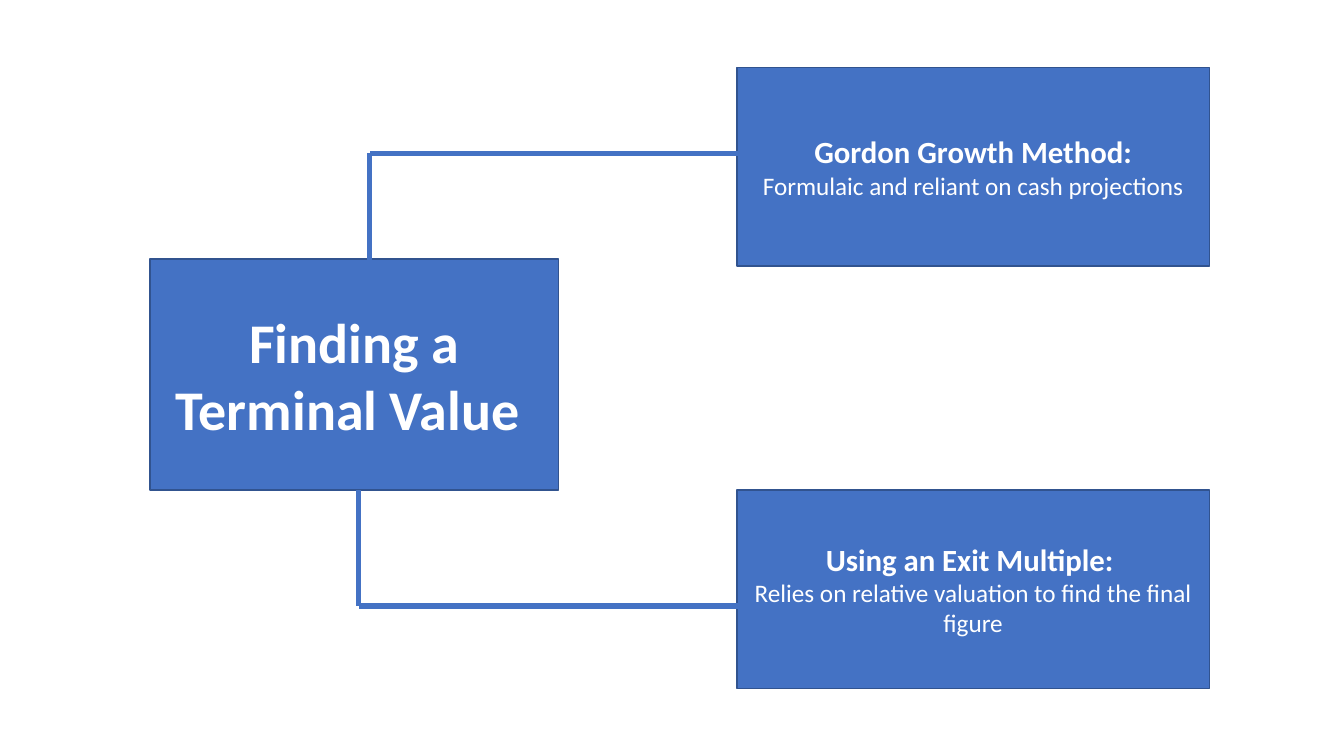
from dataclasses import dataclass

from lxml import etree
from pptx import Presentation
from pptx import util as u
from pptx.dml.color import RGBColor
from pptx.enum import shapes, text
from pptx.oxml import ns
from pptx.slide import Slide

BLUE = RGBColor(0x44, 0x72, 0xC4)
DARK_BLUE = RGBColor(0x31, 0x53, 0x8F)
WHITE = RGBColor(0xFF, 0xFF, 0xFF)
FONT = "Calibri"

METHOD_LEFT, METHOD_WIDTH, METHOD_HEIGHT = 18.57, 11.91, 5.0
TOPIC_TOP, TOPIC_HEIGHT = 6.53, 5.82
TOPIC_BOTTOM = TOPIC_TOP + TOPIC_HEIGHT


@dataclass(frozen=True)
class Line:
    words: str
    size: int
    bold: bool


@dataclass(frozen=True)
class Box:
    left: float
    top: float
    width: float
    height: float
    lines: tuple[Line, ...]


@dataclass(frozen=True)
class Branch:
    stem_x: float
    stem_y: float
    arm_x: float
    arm_y: float


def method_box(top: float, heading: str, detail: str) -> Box:
    lines = (Line(heading, 22, True), Line(detail, 18, False))
    return Box(METHOD_LEFT, top, METHOD_WIDTH, METHOD_HEIGHT, lines)


BOXES = (
    Box(3.78, TOPIC_TOP, 10.29, TOPIC_HEIGHT,
        (Line("Finding a Terminal Value ", 40, True),)),
    method_box(1.7, "Gordon Growth Method:",
               "Formulaic and reliant on cash projections"),
    method_box(TOPIC_BOTTOM, "Using an Exit Multiple: ",
               "Relies on relative valuation to find the final figure"),
)

BRANCHES = (
    Branch(9.32, 6.71, 18.95, 3.86),
    Branch(9.04, TOPIC_BOTTOM, 19.18, 15.27),
)


def draw_box(page: Slide, box: Box) -> None:
    shape = page.shapes.add_shape(
        shapes.MSO_SHAPE.RECTANGLE,
        u.Cm(box.left), u.Cm(box.top), u.Cm(box.width), u.Cm(box.height))
    shape.shadow.inherit = False
    shape.fill.solid()
    shape.fill.fore_color.rgb = BLUE
    shape.line.color.rgb = DARK_BLUE
    shape.line.width = u.Pt(1)
    frame = shape.text_frame
    frame.word_wrap = True
    frame.vertical_anchor = text.MSO_ANCHOR.MIDDLE
    for index, line in enumerate(box.lines):
        para = frame.add_paragraph() if index else frame.paragraphs[0]
        para.alignment = text.PP_ALIGN.CENTER
        span = para.add_run()
        span.text = line.words
        span.font.name = FONT
        span.font.size = u.Pt(line.size)
        span.font.bold = line.bold
        span.font.color.rgb = WHITE


def draw_line(page: Slide, x1: float, y1: float, x2: float, y2: float) -> None:
    connector = page.shapes.add_connector(
        shapes.MSO_CONNECTOR.STRAIGHT,
        u.Cm(x1), u.Cm(y1), u.Cm(x2), u.Cm(y2))
    connector.line.color.rgb = BLUE
    connector.line.width = u.Pt(3.75)
    properties = connector._element.spPr
    etree.SubElement(properties, ns.qn("a:effectLst"))


def draw_branch(page: Slide, branch: Branch) -> None:
    draw_line(page, branch.stem_x, branch.stem_y, branch.stem_x, branch.arm_y)
    draw_line(page, branch.arm_x, branch.arm_y, branch.stem_x, branch.arm_y)


def main() -> None:
    deck = Presentation()
    deck.slide_width = u.Cm(33.87)
    deck.slide_height = u.Cm(19.05)
    page = deck.slides.add_slide(deck.slide_layouts[6])
    for box in BOXES:
        draw_box(page, box)
    for branch in BRANCHES:
        draw_branch(page, branch)
    deck.save("out.pptx")


if __name__ == "__main__":
    main()
